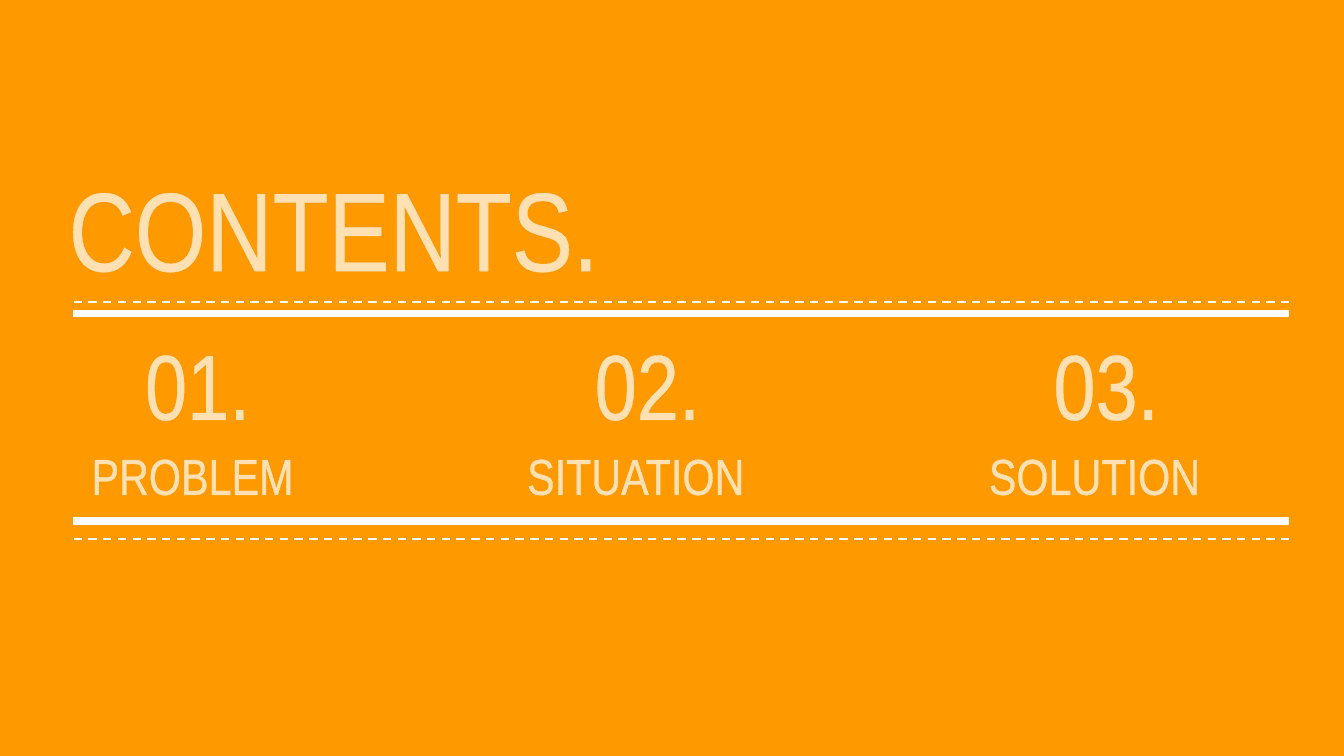
from lxml import etree
from pptx import Presentation
from pptx.dml.color import RGBColor
from pptx.enum.dml import MSO_LINE
from pptx.enum.shapes import MSO_CONNECTOR, MSO_SHAPE
from pptx.enum.text import MSO_ANCHOR, MSO_AUTO_SIZE, PP_ALIGN
from pptx.oxml.ns import qn
from pptx.util import Inches, Pt

ORANGE = RGBColor(0xFF, 0x99, 0x00)
WHITE = RGBColor(0xFF, 0xFF, 0xFF)
FONT = "Arial Narrow"
DASH = MSO_LINE.DASH
STRAIGHT = MSO_CONNECTOR.STRAIGHT
RECTANGLE = MSO_SHAPE.RECTANGLE
TOP = MSO_ANCHOR.TOP
LEFT = PP_ALIGN.LEFT
FIT_SHAPE = MSO_AUTO_SIZE.SHAPE_TO_FIT_TEXT

RULE_LEFT, RULE_WIDTH = 0.73, 12.05


def write_text(shape, text, size, left, top, width, height):
    shape.left, shape.top = Inches(left), Inches(top)
    shape.width, shape.height = Inches(width), Inches(height)
    frame = shape.text_frame
    frame.word_wrap = True
    frame.auto_size = FIT_SHAPE
    frame.vertical_anchor = TOP
    paragraph = frame.paragraphs[0]
    paragraph.alignment = LEFT
    run = paragraph.add_run()
    run.text = text
    run.font.name = FONT
    run.font.size = Pt(size)
    run.font.color.rgb = WHITE
    outline = etree.Element(qn("a:ln"), w=str(Pt(0.75)))
    fill = etree.SubElement(outline, qn("a:solidFill"))
    color = etree.SubElement(fill, qn("a:srgbClr"), val=str(WHITE))
    etree.SubElement(color, qn("a:alpha"), val="70000")
    run.font._element.insert(0, outline)


presentation = Presentation()
presentation.slide_width = Inches(13.33)
presentation.slide_height = Inches(7.5)
slide = presentation.slides.add_slide(presentation.slide_layouts[5])
slide.background.fill.solid()
slide.background.fill.fore_color.rgb = ORANGE

write_text(slide.shapes.title, "CONTENTS.", size=80,
           left=0.58, top=1.53, width=7.1, height=1.45)

sections = [
    ("PROBLEM", 1.34, 0.81, 2.87),
    ("SITUATION", 5.8, 5.13, 3.13),
    ("SOLUTION", 10.35, 9.71, 3.07),
]
for number, (name, number_left, name_left, name_width) in enumerate(sections, 1):
    group = slide.shapes.add_group_shape()
    write_text(group.shapes.add_textbox(0, 0, 0, 0), f"{number:02}.", size=66,
               left=number_left, top=3.2, width=1.87, height=1.21)
    write_text(group.shapes.add_textbox(0, 0, 0, 0), name, size=36,
               left=name_left, top=4.36, width=name_width, height=0.71)

for top in (3.08, 5.14):
    bar = slide.shapes.add_shape(RECTANGLE, Inches(RULE_LEFT), Inches(top),
                                 Inches(RULE_WIDTH), Inches(0.06))
    bar.shadow.inherit = False
    bar.fill.solid()
    bar.fill.fore_color.rgb = WHITE
    bar.line.color.rgb = WHITE
    bar.line.width = Pt(1)

for top in (3, 5.35):
    rule = slide.shapes.add_connector(STRAIGHT, Inches(RULE_LEFT), Inches(top),
                                      Inches(RULE_LEFT + RULE_WIDTH), Inches(top))
    rule.line.color.rgb = WHITE
    rule.line.width = Pt(1.5)
    rule.line.dash_style = DASH
    etree.SubElement(rule._element.spPr, qn("a:effectLst"))

presentation.save("out.pptx")
